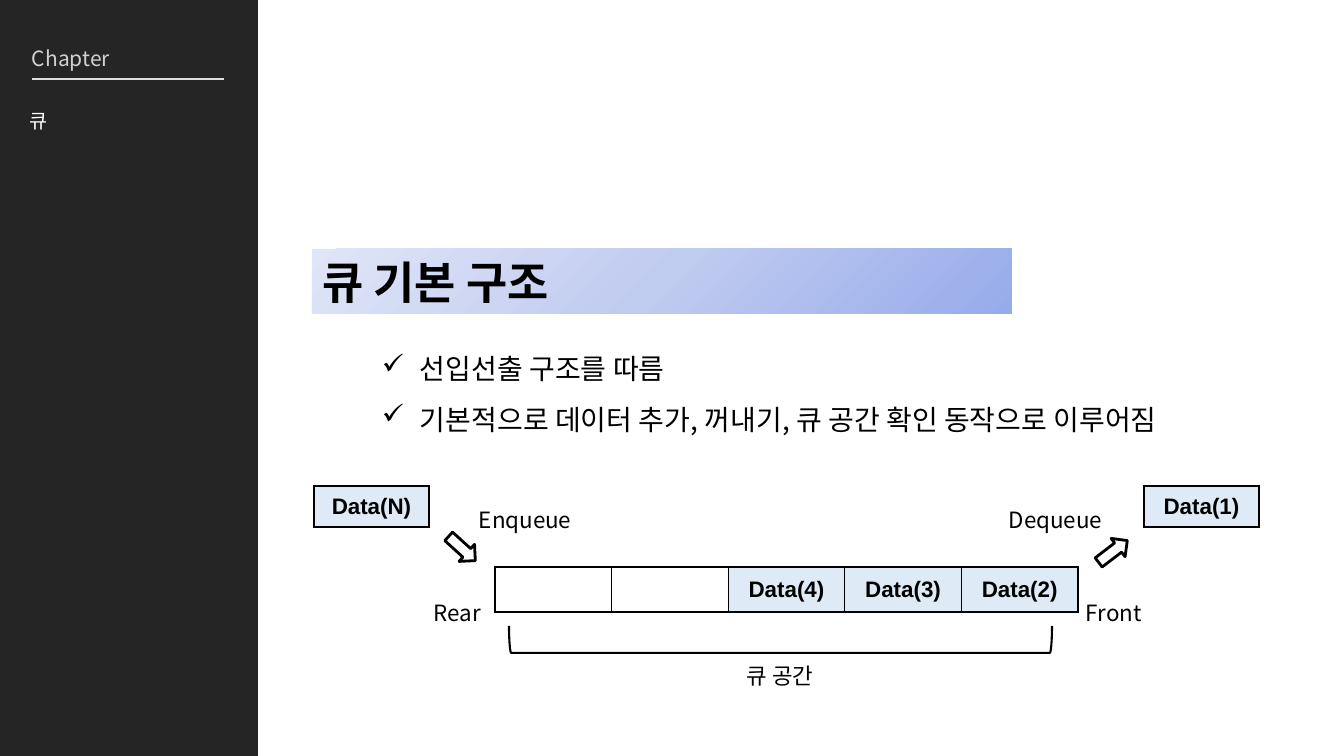
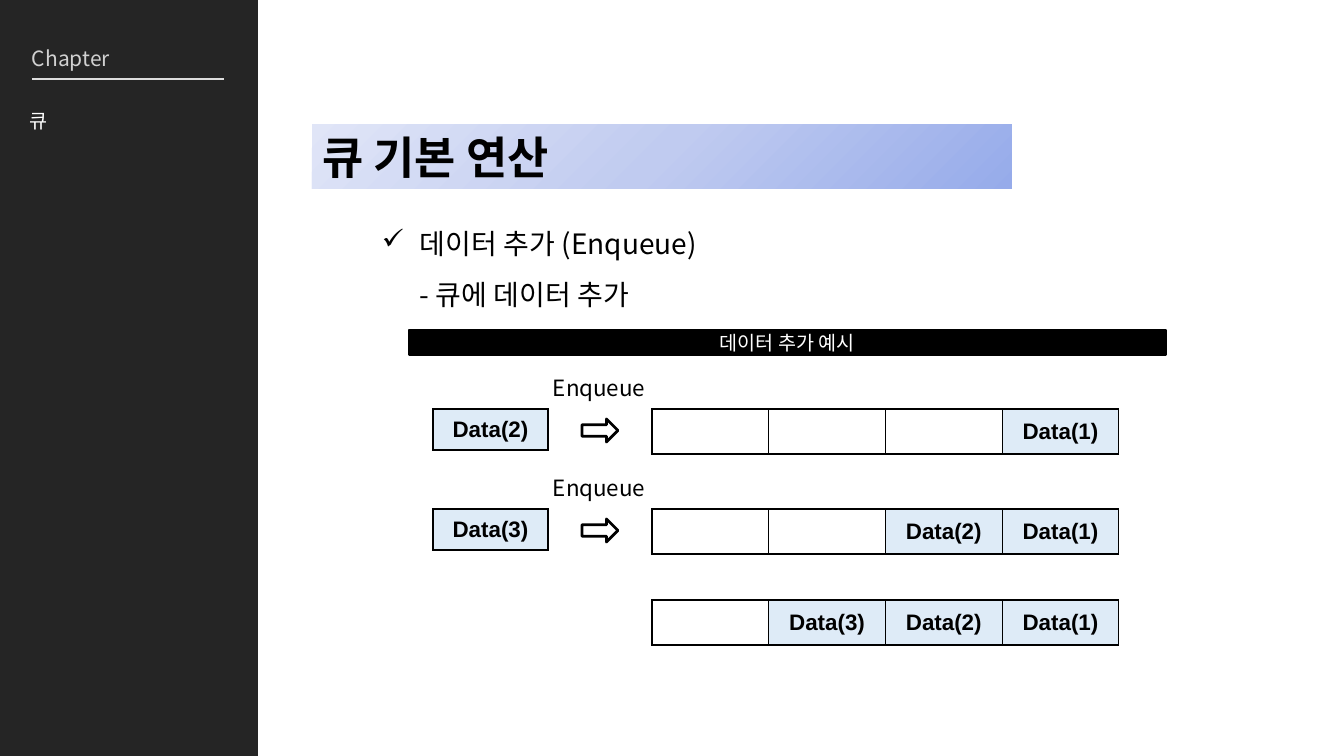
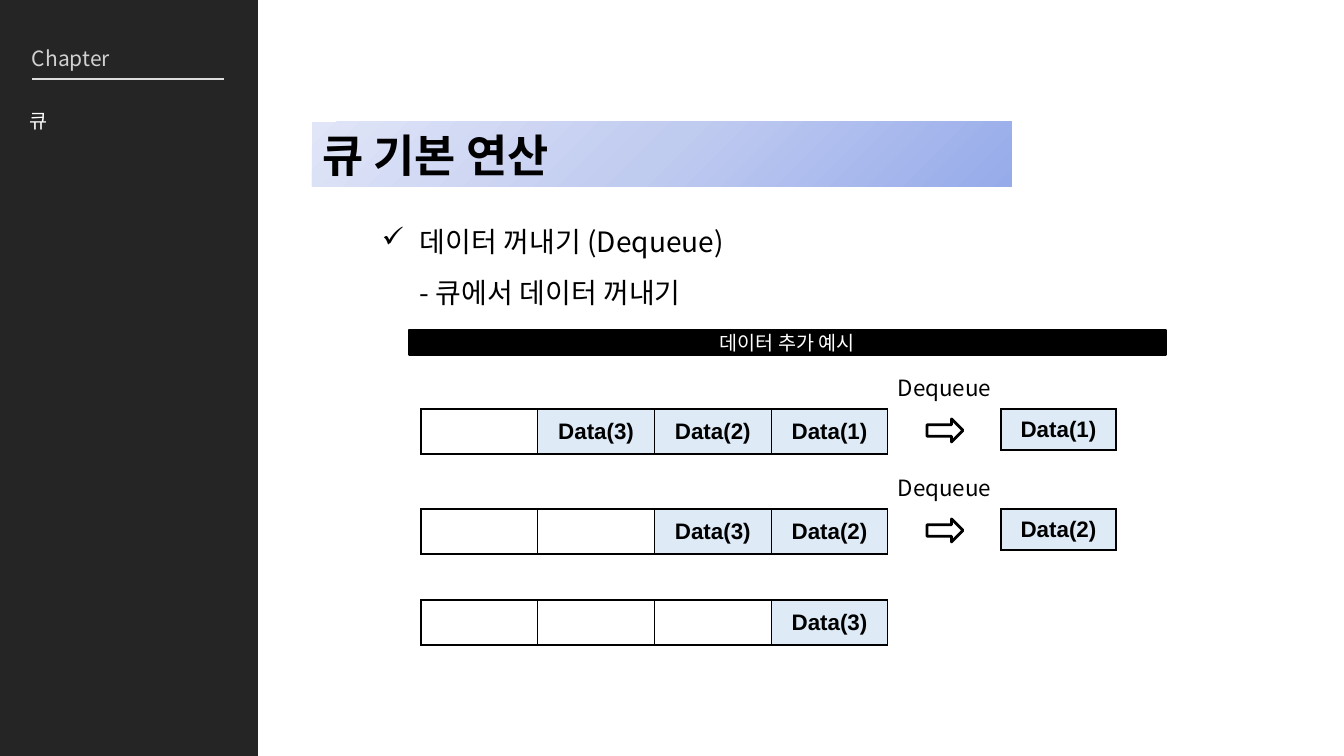
from lxml import etree
from pptx import Presentation
from pptx import util as u
from pptx.dml.color import RGBColor
from pptx.enum import shapes, text
from pptx.oxml import ns, parse_xml

PX = 914400 / 100.8
COLORS = {
    "sidebar": "252525", "chapter": "D1D1D1", "rule": "DDDDDD",
    "white": "FFFFFF", "black": "000000", "cell": "DEEBF7",
    "title_dark": "96ABEA", "title_mid": "C0CBF0", "title_light": "E0E5F7",
}
SANS = "Noto Sans CJK KR"
LATIN = "Arial"
LINE_HEIGHT = 1.2
SHAPE = shapes.MSO_SHAPE
ALIGN = text.PP_ALIGN
ANCHOR = text.MSO_ANCHOR


def px(length):
    return u.Emu(round(length * PX))


def box_of(*lengths):
    return [px(length) for length in lengths]


def rgb(name):
    return RGBColor.from_string(COLORS[name])


def add_xml(parent, body):
    """Append DrawingML elements, written with the a: prefix, to parent."""
    wrapper = parse_xml(f'<a:wrap {ns.nsdecls("a")}>{body}</a:wrap>')
    for element in list(wrapper):
        parent.append(element)


def color_xml(name):
    return f'<a:srgbClr val="{COLORS[name]}"/>'


def write(frame, content, size=16, color="black", font=SANS, bold=False,
          align=ALIGN.LEFT, anchor=ANCHOR.TOP, wrap=True, spacing=1.0,
          margins=None, bullet=None):
    """Fill a text frame; content is one string or a list of paragraphs."""
    paragraphs = [content] if isinstance(content, str) else content
    frame.text = "\n".join(paragraphs)
    frame.word_wrap = wrap
    frame.auto_size = text.MSO_AUTO_SIZE.NONE
    frame.vertical_anchor = anchor
    if margins is not None:
        frame.margin_left = frame.margin_right = px(margins)
        frame.margin_top = frame.margin_bottom = px(margins)
    for paragraph in frame.paragraphs:
        format_paragraph(paragraph, size, color, font, bold, align)
        paragraph.line_spacing = u.Pt(size * LINE_HEIGHT * spacing)
        if bullet:
            properties = paragraph._p.get_or_add_pPr()
            properties.set("marL", str(px(38)))
            properties.set("indent", str(px(-38)))
            add_xml(properties, f'<a:buClr>{color_xml(color)}</a:buClr>'
                                f'<a:buChar char="{bullet}"/>')


def format_paragraph(paragraph, size, color, font, bold, align):
    paragraph.alignment = align
    for run in paragraph.runs:
        run.font.name = font
        run.font.size = u.Pt(size)
        run.font.bold = bold
        run.font.color.rgb = rgb(color)
        add_xml(run._r.get_or_add_rPr(), f'<a:ea typeface="{font}"/>')


def add_text(slide, content, box, **style):
    textbox = slide.shapes.add_textbox(*box_of(*box))
    write(textbox.text_frame, content, **style)


def add_shape(slide, kind, box, fill=None, line=None, width=2, rotation=0):
    shape = slide.shapes.add_shape(kind, *box_of(*box))
    shape.shadow.inherit = False
    shape.rotation = rotation
    if fill:
        shape.fill.solid()
        shape.fill.fore_color.rgb = rgb(fill)
    else:
        shape.fill.background()
    if line:
        shape.line.color.rgb = rgb(line)
        shape.line.width = u.Pt(width)
    else:
        shape.line.fill.background()
    return shape


def add_arrow(slide, left, top, rotation=0):
    add_shape(slide, SHAPE.RIGHT_ARROW, (left, top, 36, 23), line="black",
              rotation=rotation)


def border_cell(cell):
    properties = cell._tc.get_or_add_tcPr()
    for position, side in enumerate(("lnL", "lnR", "lnT", "lnB")):
        border = etree.Element(ns.qn(f"a:{side}"), w=str(u.Pt(1)))
        add_xml(border, f'<a:solidFill>{color_xml("black")}</a:solidFill>')
        properties.insert(position, border)


def add_cells(slide, labels, box):
    """Draw one row of equal cells; an empty label leaves its cell unfilled."""
    frame = slide.shapes.add_table(1, len(labels), *box_of(*box))
    table = frame.table
    table.first_row = table.horz_banding = False
    for cell, label in zip(table.iter_cells(), labels):
        cell.vertical_anchor = ANCHOR.MIDDLE
        if label:
            cell.fill.solid()
            cell.fill.fore_color.rgb = rgb("cell")
            cell.text_frame.text = label
            format_paragraph(cell.text_frame.paragraphs[0], 16, "black",
                             LATIN, True, ALIGN.CENTER)
        else:
            cell.fill.background()
        border_cell(cell)


def add_datum(slide, label, left, top):
    add_cells(slide, [label], (left, top, 115, 41))


def add_sidebar(slide):
    add_shape(slide, SHAPE.RECTANGLE, (0, 0, 258, 756), fill="sidebar")
    add_text(slide, "Chapter", (27, 41, 96, 35), size=15, color="chapter",
             wrap=False, margins=5)
    rule = slide.shapes.add_connector(shapes.MSO_CONNECTOR.STRAIGHT,
                                      *box_of(32, 79, 224, 79))
    rule.line.color.rgb = rgb("rule")
    rule.line.width = u.Pt(0.8)
    add_xml(rule._element.spPr, "<a:effectLst/>")
    add_text(slide, "큐", (25, 92, 205, 45), size=14, color="white",
             spacing=1.5, margins=5)


def format_title(slide, title, top):
    placeholder = slide.shapes.title
    placeholder.left, placeholder.top, placeholder.width, placeholder.height = \
        box_of(312, top, 700, 65)
    names = ("title_dark", "title_mid", "title_light")
    stops = "".join(f'<a:gs pos="{position * 50000}">{color_xml(name)}</a:gs>'
                    for position, name in enumerate(names))
    add_xml(placeholder._element.spPr,
            f'<a:gradFill rotWithShape="1"><a:gsLst>{stops}</a:gsLst>'
            '<a:path path="circle"><a:fillToRect l="100000" t="100000"/>'
            '</a:path></a:gradFill>')
    write(placeholder.text_frame, title, size=32, bold=True,
          anchor=ANCHOR.MIDDLE)


def add_topic_slide(presentation, title, points, top):
    """Add a slide with sidebar, title band at top and checked points."""
    slide = presentation.slides.add_slide(presentation.slide_layouts[5])
    add_sidebar(slide)
    format_title(slide, title, top)
    add_text(slide, points, (372, top + 81, 800, 107), size=20, spacing=1.5,
             bullet="✓")
    return slide


def add_queue_diagram(slide, left, top):
    """Draw the queue with its two ends, from the top left corner given."""
    add_datum(slide, "Data(N)", left, top)
    add_datum(slide, "Data(1)", left + 830, top)
    add_cells(slide, ["", "", "Data(4)", "Data(3)", "Data(2)"],
              (left + 181, top + 81, 583, 45))
    add_arrow(slide, left + 130, top + 51, rotation=42.3)
    add_arrow(slide, left + 781, top + 54, rotation=322.6)
    labels = [("Enqueue", 155, 15, 114), ("Dequeue", 685, 15, 115),
              ("Rear", 110, 108, 69), ("Front", 762, 108, 78),
              ("큐 공간", 423, 171, 88)]
    for label, across, down, width in labels:
        add_text(slide, label, (left + across, top + down, width, 37),
                 wrap=False)
    add_shape(slide, SHAPE.RIGHT_BRACKET, (left + 453, top - 118, 27, 543),
              line="black", width=1.5, rotation=90)


def add_operation_steps(slide, label, steps, queue_left, datum_left,
                        label_left):
    """Draw the example bar and one row for each (queue, moved datum)."""
    bar = add_shape(slide, SHAPE.RECTANGLE, (409, 330, 757, 25),
                    fill="black", line="black")
    write(bar.text_frame, "데이터 추가 예시", size=14, color="white",
          align=ALIGN.CENTER, anchor=ANCHOR.MIDDLE, margins=0)
    for top, (queue, datum) in zip((409, 509, 600), steps):
        add_cells(slide, queue, (queue_left, top, 467, 45))
        if datum:
            add_datum(slide, datum, datum_left, top)
            add_text(slide, label, (label_left, top - 40, 115, 37),
                     wrap=False)
            add_arrow(slide, label_left + 39, top + 10)


def main():
    presentation = Presentation()
    presentation.slide_width, presentation.slide_height = box_of(1344, 756)

    structure = add_topic_slide(
        presentation, "큐 기본 구조",
        ["선입선출 구조를 따름",
         "기본적으로 데이터 추가, 꺼내기, 큐 공간 확인 동작으로 이루어짐"], 249)
    add_queue_diagram(structure, 314, 486)

    one, two, three = "Data(1)", "Data(2)", "Data(3)"
    enqueue = add_topic_slide(
        presentation, "큐 기본 연산",
        "데이터 추가 (Enqueue)\v- 큐에 데이터 추가", 124)
    add_operation_steps(
        enqueue, "Enqueue",
        [(["", "", "", one], two), (["", "", two, one], three),
         (["", three, two, one], None)],
        queue_left=652, datum_left=433, label_left=543)

    dequeue = add_topic_slide(
        presentation, "큐 기본 연산",
        "데이터 꺼내기 (Dequeue)\v- 큐에서 데이터 꺼내기", 122)
    add_operation_steps(
        dequeue, "Dequeue",
        [(["", three, two, one], one), (["", "", three, two], two),
         (["", "", "", three], None)],
        queue_left=421, datum_left=1001, label_left=888)

    presentation.save("out.pptx")


if __name__ == "__main__":
    main()
